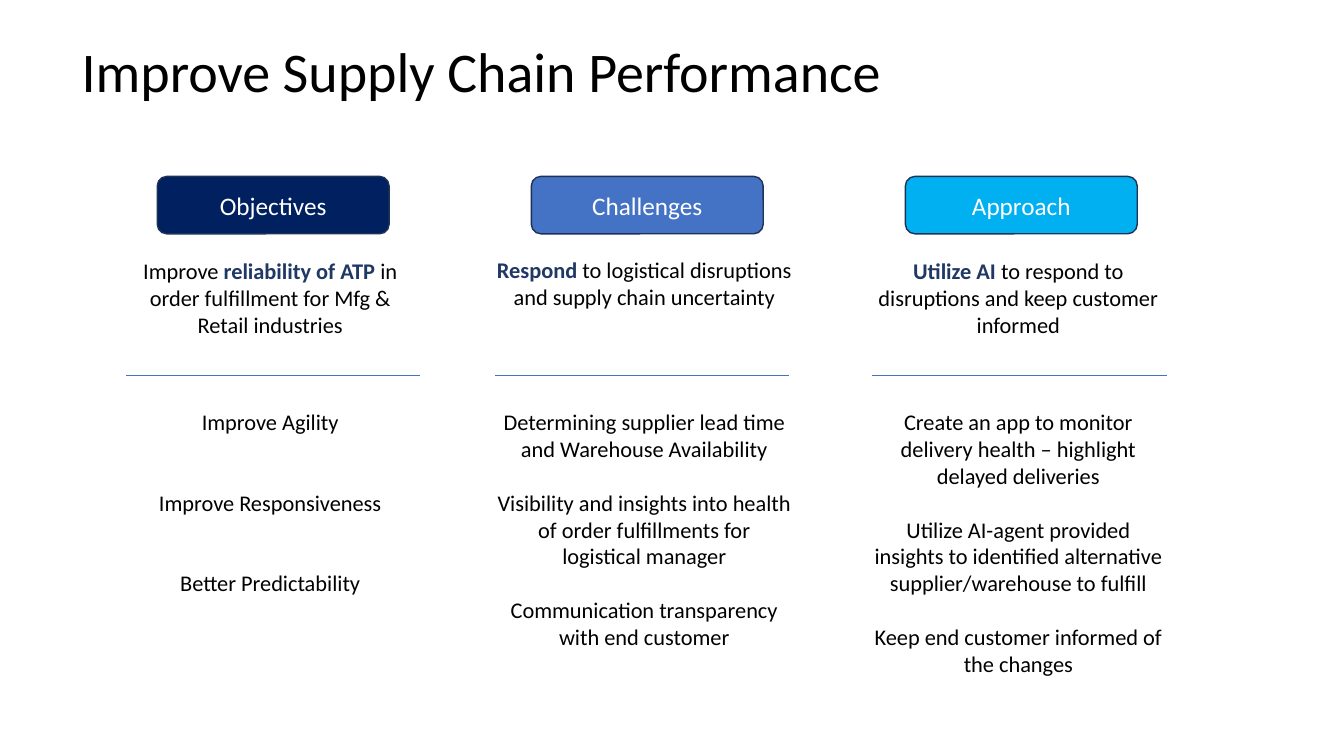
from dataclasses import dataclass

from lxml import etree
from pptx import Presentation
from pptx.dml.color import RGBColor
from pptx.enum import shapes, text
from pptx.oxml.ns import qn
from pptx.util import Inches, Pt

FONT = "Calibri"
BLACK, WHITE, NAVY, BLUE, OUTLINE = "000000", "FFFFFF", "203864", "4472C4", "1E3256"
FIRST_LEFT, COLUMN_PITCH, COLUMN_WIDTH = 1.12, 3.71, 3.12
HEADING_INSET, HEADING_WIDTH = 0.44, 2.3
DIVIDER_TOP, DIVIDER_WIDTH = 3.72, 2.92
BODY_LINE = 19.2


@dataclass(frozen=True)
class Column:
    heading: str
    fill: str
    summary: tuple[str, str, str]
    summary_top: float
    divider_left: float
    points: tuple[str, ...]
    gap_lines: int
    points_height: float


COLUMNS = (
    Column("Objectives", "002060",
           ("Improve ", "reliability of ATP ",
            "in order fulfillment for Mfg & Retail industries"),
           2.5, 1.25,
           ("Improve Agility", "Improve Responsiveness", "Better Predictability"),
           2, 1.99),
    Column("Challenges", BLUE,
           ("", "Respond", " to logistical disruptions and supply chain uncertainty"),
           2.49, 4.91,
           ("Determining supplier lead time and Warehouse Availability",
            "Visibility and insights into health of order fulfillments for logistical manager",
            "Communication transparency with end customer"),
           1, 2.52),
    Column("Approach", "00B0F0",
           ("", "Utilize AI", " to respond to disruptions and keep customer informed"),
           2.5, 8.65,
           ("Create an app to monitor delivery health – highlight delayed deliveries",
            "Utilize AI-agent provided insights to identified alternative "
            "supplier/warehouse to fulfill",
            "Keep end customer informed of the changes"),
           1, 2.79),
)


def rgb(value: str) -> RGBColor:
    return RGBColor.from_string(value)


def style(run, size: float, colour: str = BLACK, bold: bool = False) -> None:
    run.font.name = FONT
    run.font.size = Pt(size)
    run.font.bold = bold
    run.font.color.rgb = rgb(colour)


def add_text_frame(slide, left: float, top: float, height: float):
    box = slide.shapes.add_textbox(
        Inches(left), Inches(top), Inches(COLUMN_WIDTH), Inches(height))
    box.text_frame.word_wrap = True
    return box.text_frame


def set_title(slide, wording: str) -> None:
    title = slide.shapes.title
    title.left, title.top = Inches(0.71), Inches(0.31)
    title.width, title.height = Inches(11.83), Inches(0.77)
    frame = title.text_frame
    frame.text = wording
    frame.word_wrap = True
    frame.auto_size = text.MSO_AUTO_SIZE.NONE
    frame.vertical_anchor = text.MSO_ANCHOR.TOP
    frame.paragraphs[0].alignment = text.PP_ALIGN.LEFT
    style(frame.paragraphs[0].runs[0], 40)


def add_heading(slide, column: Column, left: float) -> None:
    heading = slide.shapes.add_shape(
        shapes.MSO_SHAPE.FLOWCHART_ALTERNATE_PROCESS,
        Inches(left + HEADING_INSET), Inches(1.75), Inches(HEADING_WIDTH), Inches(0.57))
    heading.shadow.inherit = False
    heading.fill.solid()
    heading.fill.fore_color.rgb = rgb(column.fill)
    heading.line.color.rgb = rgb(OUTLINE)
    heading.line.width = Pt(1)
    frame = heading.text_frame
    frame.text = column.heading
    frame.vertical_anchor = text.MSO_ANCHOR.MIDDLE
    frame.paragraphs[0].alignment = text.PP_ALIGN.CENTER
    style(frame.paragraphs[0].runs[0], 18, WHITE)


def add_summary(slide, column: Column, left: float) -> None:
    paragraph = add_text_frame(slide, left, column.summary_top, 0.91).paragraphs[0]
    paragraph.alignment = text.PP_ALIGN.CENTER
    before, emphasis, after = column.summary
    for wording, colour, bold in (
            (before, BLACK, False), (emphasis, NAVY, True), (after, BLACK, False)):
        if wording:
            run = paragraph.add_run()
            run.text = wording
            style(run, 16, colour, bold)


def add_divider(slide, column: Column) -> None:
    divider = slide.shapes.add_connector(
        shapes.MSO_CONNECTOR.STRAIGHT,
        Inches(column.divider_left), Inches(DIVIDER_TOP),
        Inches(column.divider_left + DIVIDER_WIDTH), Inches(DIVIDER_TOP))
    divider.line.color.rgb = rgb(BLUE)
    divider.line.width = Pt(0.5)
    etree.SubElement(divider._element.spPr, qn("a:effectLst"))


def add_points(slide, column: Column, left: float) -> None:
    frame = add_text_frame(slide, left, 4, column.points_height)
    frame.text = "\n".join(column.points)
    for position, paragraph in enumerate(frame.paragraphs):
        paragraph.alignment = text.PP_ALIGN.CENTER
        paragraph.space_before = Pt(BODY_LINE * column.gap_lines if position else 0)
        style(paragraph.runs[0], 16)


def main() -> None:
    deck = Presentation()
    deck.slide_width, deck.slide_height = Inches(13.33), Inches(7.5)
    slide = deck.slides.add_slide(deck.slide_layouts.get_by_name("Title Only"))
    set_title(slide, "Improve Supply Chain Performance")
    for position, column in enumerate(COLUMNS):
        left = FIRST_LEFT + position * COLUMN_PITCH
        add_heading(slide, column, left)
        add_summary(slide, column, left)
        add_divider(slide, column)
        add_points(slide, column, left)
    deck.save("out.pptx")


main()
